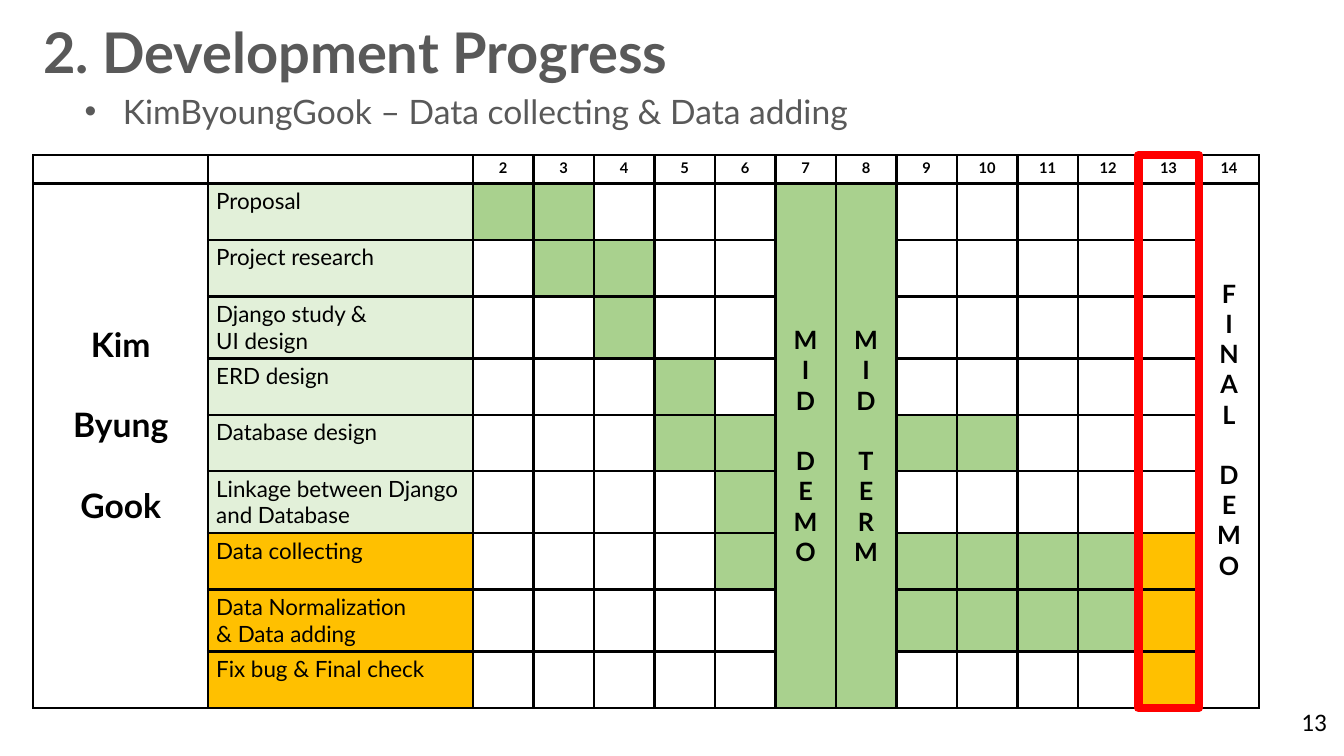
import dataclasses

import lxml.etree
import pptx
import pptx.dml.color
import pptx.enum.shapes
import pptx.enum.text
import pptx.oxml.ns
import pptx.util

EMU_PER_PX = 4572
COLORS = {
    "black": "000000",
    "white": "FFFFFF",
    "grey": "595959",
    "pale": "E2F0D9",
    "green": "A9D18E",
    "gold": "FFC000",
    "red": "FF0000",
}
LEFT, TOP = 66, 308
NAME_WIDTH, TASK_WIDTH, WEEK_WIDTH = 347, 525, 120
HEADER_HEIGHT, ONE_LINE_HEIGHT, TWO_LINE_HEIGHT = 56, 112, 123
FIRST_WEEK, LAST_WEEK, CURRENT_WEEK = 2, 14, 13
COLUMN_WIDTHS = [NAME_WIDTH, TASK_WIDTH] + [WEEK_WIDTH] * (LAST_WEEK - FIRST_WEEK + 1)
HEAVY_EDGES = (5, 11)
THIN, HEAVY = 1.98, 2.55
LINE_SPACING = 1.2
CENTER = pptx.enum.text.PP_ALIGN.CENTER


@dataclasses.dataclass(frozen=True)
class Style:
    size: float
    color: str = "black"
    bold: bool = False
    font: str = "Lato"
    centered: bool = False


@dataclasses.dataclass(frozen=True)
class Label:
    text: str
    left: int
    top: int
    width: int
    height: int
    style: Style
    wrap: bool = True
    bullet_indent: int = 0


@dataclasses.dataclass(frozen=True)
class Task:
    lines: tuple[str, ...]
    weeks: tuple[int, ...]
    height: int = ONE_LINE_HEIGHT
    fill: str = "pale"


@dataclasses.dataclass(frozen=True)
class Banner:
    column: int
    groups: tuple[tuple[str, ...], ...]
    size: int
    fill: str
    top_margin: int
    middle: bool = False


HEADER_STYLE = Style(10.5, bold=True, centered=True)
TASK_STYLE = Style(16)

LABELS = [
    Label("KimByoungGook – Data collecting & Data adding", 148, 170, 2520, 100,
          Style(24, "grey"), bullet_indent=76),
    Label("13", 2562, 1392, 92, 80, Style(18, font="Calibri"), wrap=False),
    Label("2. Development Progress", 66, 24, 1504, 154, Style(40, "grey", bold=True)),
]

TASKS = [
    Task(("Proposal",), (2, 3)),
    Task(("Project research",), (3, 4)),
    Task(("Django study &", "UI design"), (4,), TWO_LINE_HEIGHT),
    Task(("ERD design",), (5,)),
    Task(("Database design",), (5, 6, 9, 10)),
    Task(("Linkage between Django and Database",), (6,), TWO_LINE_HEIGHT),
    Task(("Data collecting",), (6, 9, 10, 11, 12, 13), fill="gold"),
    Task(("Data Normalization", "& Data adding"), (9, 10, 11, 12, 13), TWO_LINE_HEIGHT, "gold"),
    Task(("Fix bug & Final check",), (13,), fill="gold"),
]

BANNERS = [
    Banner(0, (("Kim",), ("Byung",), ("Gook",)), 24, "white", 279),
    Banner(7, (tuple("MID"), tuple("DEMO")), 18, "green", 12, middle=True),
    Banner(8, (tuple("MID"), tuple("TERM")), 18, "green", 12, middle=True),
    Banner(14, (tuple("FINAL"), tuple("DEMO")), 18, "white", 188),
]

ROW_HEIGHTS = [HEADER_HEIGHT] + [task.height for task in TASKS]


def px(length: int) -> pptx.util.Emu:
    return pptx.util.Emu(length * EMU_PER_PX)


def rgb(color: str) -> pptx.dml.color.RGBColor:
    return pptx.dml.color.RGBColor.from_string(COLORS[color])


def add_element(parent, tag: str, **attributes: str):
    return lxml.etree.SubElement(parent, pptx.oxml.ns.qn(tag), attributes)


def write_line(frame, text: str, style: Style, first: bool, gap: float = 0):
    para = frame.paragraphs[0] if first else frame.add_paragraph()
    if style.centered:
        para.alignment = CENTER
    if gap:
        para.space_before = pptx.util.Pt(gap)
    span = para.add_run()
    span.text = text
    span.font.name = style.font
    span.font.size = pptx.util.Pt(style.size)
    span.font.bold = style.bold
    span.font.color.rgb = rgb(style.color)
    return para


def draw_label(page, label: Label) -> None:
    box = page.shapes.add_textbox(px(label.left), px(label.top), px(label.width), px(label.height))
    frame = box.text_frame
    frame.word_wrap = label.wrap
    frame.auto_size = pptx.enum.text.MSO_AUTO_SIZE.SHAPE_TO_FIT_TEXT
    para = write_line(frame, label.text, label.style, True)
    if label.bullet_indent:
        properties = para._p.get_or_add_pPr()
        properties.set("marL", str(px(label.bullet_indent)))
        properties.set("indent", str(-px(label.bullet_indent)))
        add_element(properties, "a:buFont", typeface="Arial")
        add_element(properties, "a:buChar", char="•")


def style_cell(cell, column: int, fill: str) -> None:
    cell.margin_left = cell.margin_right = px(16)
    cell.margin_top = cell.margin_bottom = px(8)
    properties = cell._tc.get_or_add_tcPr()
    widths = {
        "a:lnL": HEAVY if column in HEAVY_EDGES else THIN,
        "a:lnR": HEAVY if column + 1 in HEAVY_EDGES else THIN,
        "a:lnT": THIN,
        "a:lnB": THIN,
    }
    for tag, width in widths.items():
        line = add_element(properties, tag, w=str(pptx.util.Pt(width)))
        add_element(add_element(line, "a:solidFill"), "a:srgbClr", val=COLORS["black"])
    cell.fill.solid()
    cell.fill.fore_color.rgb = rgb(fill)


def cell_fill(row: int, column: int) -> str:
    if row == 0:
        return "white"
    task = TASKS[row - 1]
    if column == 1:
        return task.fill
    if column in task.weeks:
        return "gold" if column == CURRENT_WEEK else "green"
    return "white"


def draw_banner(table, banner: Banner) -> None:
    cell = table.cell(1, banner.column)
    cell.merge(table.cell(len(TASKS), banner.column))
    cell.fill.fore_color.rgb = rgb(banner.fill)
    cell.margin_top = px(banner.top_margin)
    if banner.middle:
        cell.margin_bottom = px(banner.top_margin)
        cell.vertical_anchor = pptx.enum.text.MSO_ANCHOR.MIDDLE
    style = Style(banner.size, bold=True, centered=True)
    for group_index, group in enumerate(banner.groups):
        for line_index, text in enumerate(group):
            starts_group = group_index > 0 and line_index == 0
            gap = banner.size * LINE_SPACING if starts_group else 0
            write_line(cell.text_frame, text, style, group_index + line_index == 0, gap)


def draw_schedule(page) -> None:
    frame = page.shapes.add_table(len(ROW_HEIGHTS), len(COLUMN_WIDTHS), px(LEFT), px(TOP),
                                  px(sum(COLUMN_WIDTHS)), px(sum(ROW_HEIGHTS)))
    table = frame.table
    table.first_row = table.horz_banding = False
    for column, width in enumerate(COLUMN_WIDTHS):
        table.columns[column].width = px(width)
    for row, height in enumerate(ROW_HEIGHTS):
        table.rows[row].height = px(height)
        for column in range(len(COLUMN_WIDTHS)):
            style_cell(table.cell(row, column), column, cell_fill(row, column))
    for column in range(FIRST_WEEK):
        para = table.cell(0, column).text_frame.paragraphs[0]
        add_element(para._p, "a:endParaRPr", sz="1050")
    for week in range(FIRST_WEEK, LAST_WEEK + 1):
        write_line(table.cell(0, week).text_frame, str(week), HEADER_STYLE, True)
    for row, task in enumerate(TASKS, 1):
        for index, text in enumerate(task.lines):
            write_line(table.cell(row, 1).text_frame, text, TASK_STYLE, index == 0)
    for banner in BANNERS:
        draw_banner(table, banner)


def draw_week_marker(page) -> None:
    left = LEFT + sum(COLUMN_WIDTHS[:CURRENT_WEEK])
    marker = page.shapes.add_shape(pptx.enum.shapes.MSO_SHAPE.RECTANGLE, px(left), px(TOP),
                                   px(WEEK_WIDTH), px(sum(ROW_HEIGHTS)))
    marker.shadow.inherit = False
    marker.fill.background()
    marker.line.color.rgb = rgb("red")
    marker.line.width = pptx.util.Pt(6)


def main() -> None:
    deck = pptx.Presentation()
    deck.slide_width, deck.slide_height = px(2666), px(1500)
    page = deck.slides.add_slide(deck.slide_layouts[6])
    draw_schedule(page)
    for label in LABELS:
        draw_label(page, label)
    draw_week_marker(page)
    deck.save("out.pptx")


if __name__ == "__main__":
    main()
